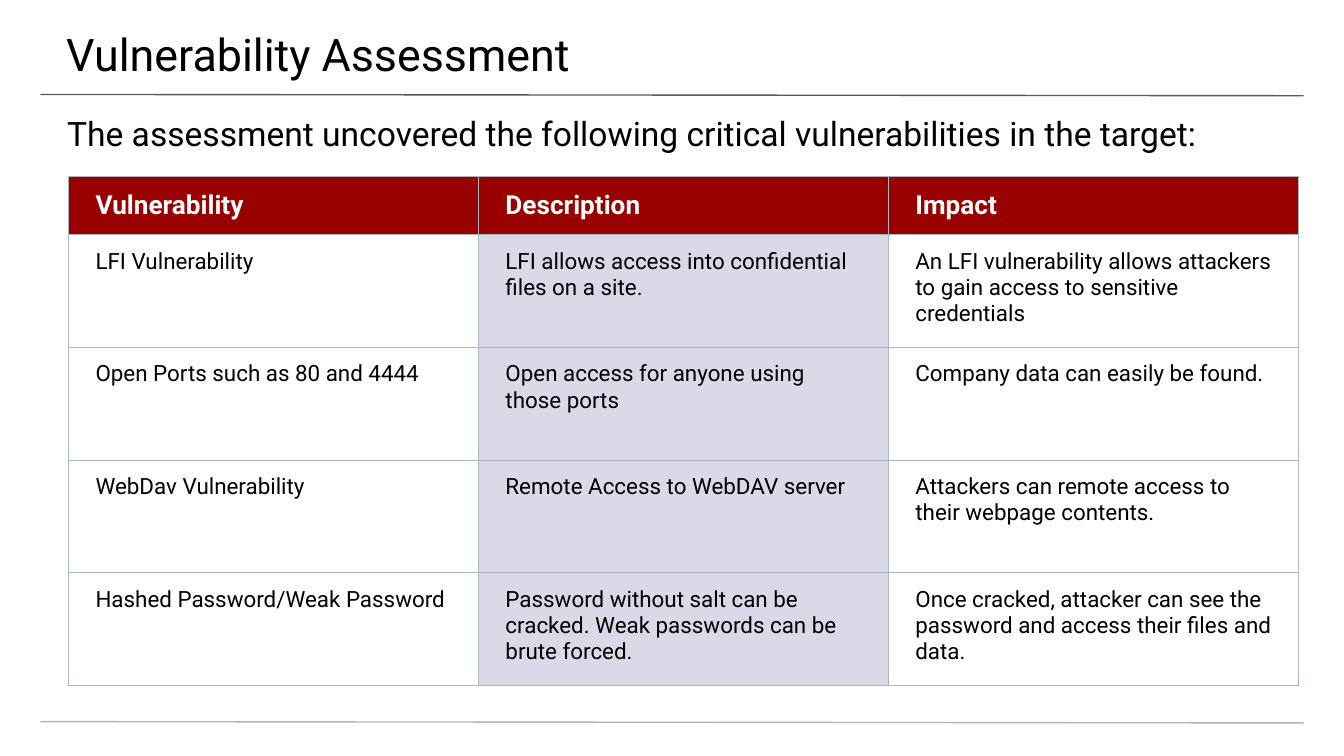
from dataclasses import dataclass

from lxml import etree
from pptx import Presentation
from pptx.dml.color import RGBColor
from pptx.enum.shapes import MSO_CONNECTOR
from pptx.enum.text import MSO_ANCHOR, MSO_AUTO_SIZE, PP_ALIGN
from pptx.oxml.ns import qn
from pptx.util import Pt

LINE = MSO_CONNECTOR.STRAIGHT
TOP, MIDDLE = MSO_ANCHOR.TOP, MSO_ANCHOR.MIDDLE
LEFT = PP_ALIGN.LEFT
FIXED = MSO_AUTO_SIZE.NONE


@dataclass(frozen=True)
class Theme:
    font: str = "Roboto"
    ink: str = "000000"
    white: str = "FFFFFF"
    head: str = "990000"
    tint: str = "DBD9E8"
    rule: str = "595959"
    grid: str = "A9B7C0"
    title: int = 24
    lead: int = 18
    label: int = 14
    body: int = 12
    stroke: float = 0.75


THEME = Theme()
WIDTH, HEIGHT = 720, 405

ROWS = [
    ("Vulnerability", "Description", "Impact"),
    ("LFI Vulnerability",
     "LFI allows access into confidential files on a site.",
     "An LFI vulnerability allows attackers to gain access to sensitive credentials"),
    ("Open Ports such as 80 and 4444",
     "Open access for anyone using those ports",
     "Company data can easily be found."),
    ("WebDav Vulnerability",
     "Remote Access to WebDAV server",
     "Attackers can remote access to their webpage contents."),
    ("Hashed Password/Weak Password",
     "Password without salt can be cracked. Weak passwords can be brute forced.",
     "Once cracked, attacker can see the password and access their files and data."),
]


def pad(item, left, top, right, bottom):
    item.margin_left, item.margin_top = Pt(left), Pt(top)
    item.margin_right, item.margin_bottom = Pt(right), Pt(bottom)


def write(frame, text, size, color, bold=False):
    para = frame.paragraphs[0]
    para.text = text
    para.alignment = LEFT
    font = para.font
    font.name, font.size, font.bold = THEME.font, Pt(size), bold
    font.color.rgb = RGBColor.from_string(color)


def add_text(shape, box, insets, text, size):
    shape.left, shape.top, shape.width, shape.height = map(Pt, box)
    frame = shape.text_frame
    frame.word_wrap, frame.auto_size = True, FIXED
    frame.vertical_anchor = TOP
    pad(frame, *insets)
    write(frame, text, size, THEME.ink)


def add_rule(slide, left, top, width, color):
    rule = slide.shapes.add_connector(
        LINE, Pt(left), Pt(top), Pt(left + width), Pt(top + 0.7))
    rule.line.color.rgb = RGBColor.from_string(color)
    rule.line.width = Pt(THEME.stroke)
    etree.SubElement(rule._element.spPr, qn("a:effectLst"))


def add_border(cell):
    props = cell._tc.get_or_add_tcPr()
    for spot, side in enumerate(("lnL", "lnR", "lnT", "lnB")):
        edge = etree.Element(qn("a:" + side), w=str(Pt(THEME.stroke)))
        fill = etree.SubElement(edge, qn("a:solidFill"))
        etree.SubElement(fill, qn("a:srgbClr"), val=THEME.grid)
        props.insert(spot, edge)


def add_grid(slide, left, top, width, head, step):
    count = len(ROWS[0])
    height = head + step * (len(ROWS) - 1)
    table = slide.shapes.add_table(
        len(ROWS), count, Pt(left), Pt(top), Pt(width), Pt(height)).table
    for col in table.columns:
        col.width = Pt(width / count)
    for r, texts in enumerate(ROWS):
        first = r == 0
        table.rows[r].height = Pt(head if first else step)
        for c, text in enumerate(texts):
            cell = table.cell(r, c)
            pad(cell, 14.4, 7.2, 14.4, 7.2)
            cell.vertical_anchor = MIDDLE if first else TOP
            shade = THEME.head if first else THEME.tint if c == 1 else None
            if shade:
                cell.fill.solid()
                cell.fill.fore_color.rgb = RGBColor.from_string(shade)
            else:
                cell.fill.background()
            add_border(cell)
            if first:
                write(cell.text_frame, text, THEME.label, THEME.white, True)
            else:
                write(cell.text_frame, text, THEME.body, THEME.ink)


def add_slide(deck):
    slide = deck.slides.add_slide(deck.slide_layouts[5])
    # Rules under the title and at the foot
    add_rule(slide, 21.6, 50.6, 676.8, THEME.rule)
    add_rule(slide, 21.6, 386.6, 676.8, THEME.grid)
    # Title and lead line
    add_text(slide.shapes.title, (-0.5, 0, 722, 42), (36, 14.4, 21.6, 7.2),
             "Vulnerability Assessment", THEME.title)
    lead = slide.shapes.add_textbox(0, 0, 0, 0)
    add_text(lead, (0, 53.4, WIDTH, 29), (36, 7.2, 36, 0),
             "The assessment uncovered the following critical vulnerabilities"
             " in the target:", THEME.lead)
    # Findings
    add_grid(slide, 36.8, 94.6, 658.8, 31.2, 60.4)


def main():
    deck = Presentation()
    deck.slide_width, deck.slide_height = Pt(WIDTH), Pt(HEIGHT)
    add_slide(deck)
    deck.save("out.pptx")


if __name__ == "__main__":
    main()
